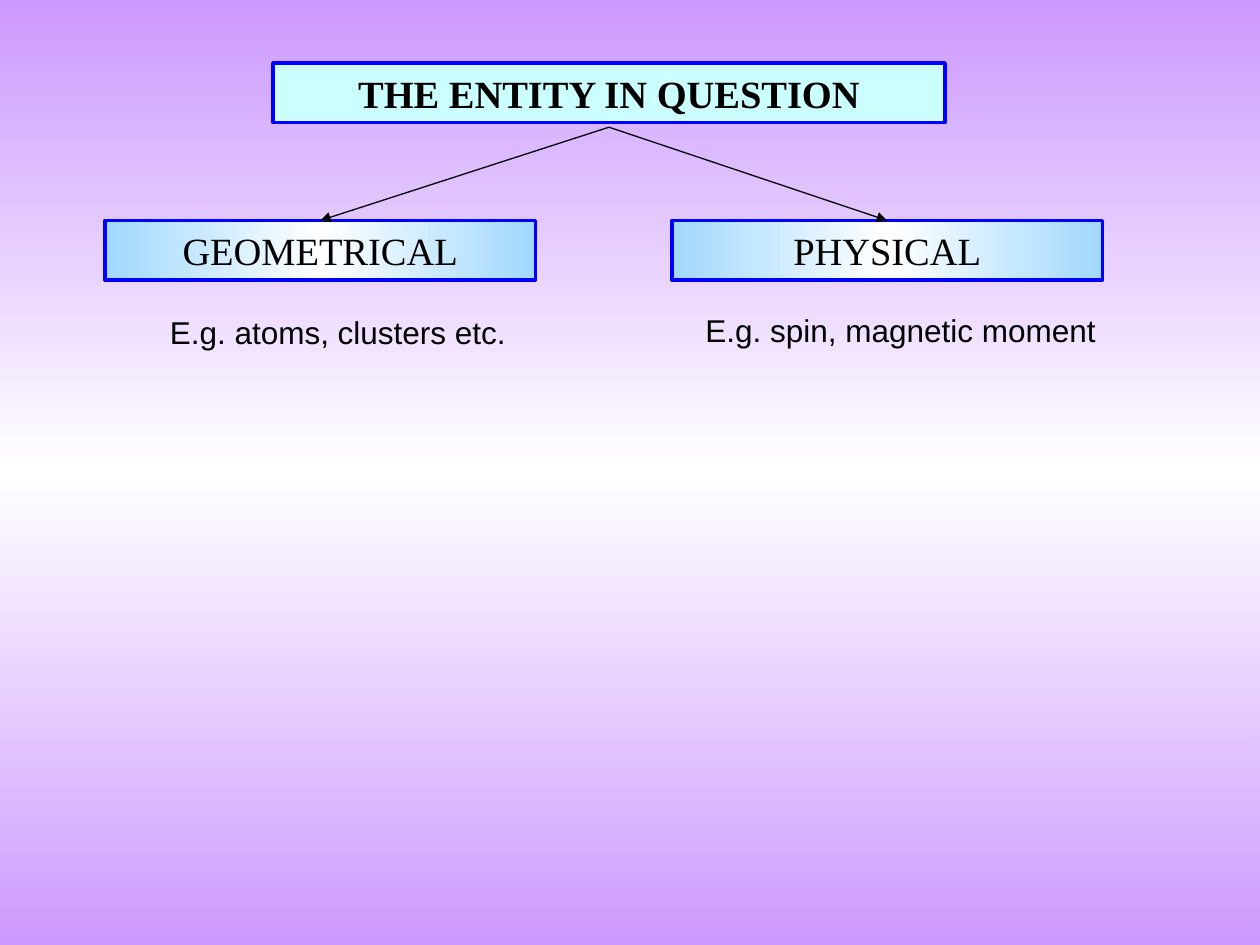
from copy import deepcopy

from pptx import Presentation
from pptx.dml.color import RGBColor
from pptx.enum.shapes import MSO_CONNECTOR as CONNECTOR, MSO_SHAPE as SHAPE
from pptx.enum.text import MSO_ANCHOR as ANCHOR, MSO_AUTO_SIZE as AUTO_SIZE, PP_ALIGN as ALIGN
from pptx.oxml.ns import qn
from pptx.util import Pt

# Content: heading, then each branch with its example and the example's place
HEADING = "THE ENTITY IN QUESTION"
BRANCHES = [
    ("GEOMETRICAL", "E.g. atoms, clusters etc.", (90, 175, 206.6, 29)),
    ("PHYSICAL", "E.g. spin, magnetic moment", (396, 174, 237.6, 29)),
]

# Colours and formats
LILAC = RGBColor(0xCC, 0x99, 0xFF)
WHITE = RGBColor(0xFF, 0xFF, 0xFF)
PALE_CYAN = RGBColor(0xCC, 0xFF, 0xFF)
SKY = RGBColor(0xA0, 0xD8, 0xFE)
BLUE = RGBColor(0, 0, 0xFF)
BLACK = RGBColor(0, 0, 0)

HEADING_FONT = {"name": "Times New Roman", "size": Pt(22), "bold": True}
BRANCH_FONT = {**HEADING_FONT, "bold": False}
EXAMPLE_FONT = {"name": "Arial", "size": Pt(18)}
INSETS = {"margin_left": Pt(7.2), "margin_right": Pt(7.2),
          "margin_top": Pt(3.6), "margin_bottom": Pt(3.6)}

# Layout in points
BOX_HEIGHT = 34
HEADING_LEFT, HEADING_TOP, HEADING_WIDTH = 156, 36, 384
BRANCH_LEFT, BRANCH_TOP, BRANCH_WIDTH, BRANCH_STEP = 60, 126, 246, 324
ARROW_GAP = 2.7


def apply(target, values):
    for key, value in values.items():
        setattr(target, key, value)


def write(part, text, font, align, wrap=True):
    frame = part.text_frame
    frame.text = text
    apply(frame, {**INSETS, "word_wrap": wrap, "auto_size": AUTO_SIZE.NONE,
                  "vertical_anchor": ANCHOR.MIDDLE})
    paragraph = frame.paragraphs[0]
    paragraph.alignment = align
    run_font = paragraph.runs[0].font
    apply(run_font, font)
    run_font.color.rgb = BLACK


def outline(part, color, width):
    part.line.color.rgb = color
    part.line.width = Pt(width)


def mirror_gradient(fill, element, edge, angle):
    """Fade from the edge colour to white in the middle and back."""
    fill.gradient()
    fill.gradient_angle = angle
    stops = element.xpath(".//a:gsLst")[0]
    stops.append(deepcopy(stops[-1]))
    for stop, position, color in zip(fill.gradient_stops, (0, 0.5, 1), (edge, WHITE, edge)):
        stop.position = position
        stop.color.rgb = color


deck = Presentation()
deck.slide_width, deck.slide_height = Pt(720), Pt(540)
slide = deck.slides.add_slide(deck.slide_layouts[5])
mirror_gradient(slide.background.fill, slide._element, LILAC, 90)

# Heading
heading = slide.shapes.title
apply(heading, {"left": Pt(HEADING_LEFT), "top": Pt(HEADING_TOP),
                "width": Pt(HEADING_WIDTH), "height": Pt(BOX_HEIGHT)})
heading.fill.solid()
heading.fill.fore_color.rgb = PALE_CYAN
outline(heading, BLUE, 2)
write(heading, HEADING, HEADING_FONT, ALIGN.CENTER)

fork_x = Pt(HEADING_LEFT + HEADING_WIDTH / 2)
fork_y = Pt(HEADING_TOP + BOX_HEIGHT + ARROW_GAP)

for index, (label, example_text, place) in enumerate(BRANCHES):
    # Branch box
    branch = slide.shapes.add_shape(
        SHAPE.RECTANGLE, Pt(BRANCH_LEFT + index * BRANCH_STEP), Pt(BRANCH_TOP),
        Pt(BRANCH_WIDTH), Pt(BOX_HEIGHT))
    branch.shadow.inherit = False
    mirror_gradient(branch.fill, branch._element, SKY, 180)
    outline(branch, BLUE, 2)
    write(branch, label, BRANCH_FONT, ALIGN.CENTER)

    # Arrow from below the heading to the branch
    arrow = slide.shapes.add_connector(CONNECTOR.STRAIGHT, fork_x, fork_y, fork_x, fork_y)
    arrow.end_connect(branch, 0)
    outline(arrow, BLACK, 0.75)
    arrow.line._get_or_add_ln().append(
        arrow._element.makeelement(qn("a:tailEnd"), {"type": "triangle"}))
    arrow._element.spPr.append(arrow._element.makeelement(qn("a:effectLst"), {}))

    # Example under the branch
    example = slide.shapes.add_textbox(*map(Pt, place))
    write(example, example_text, EXAMPLE_FONT, ALIGN.LEFT, wrap=False)

deck.save("out.pptx")
